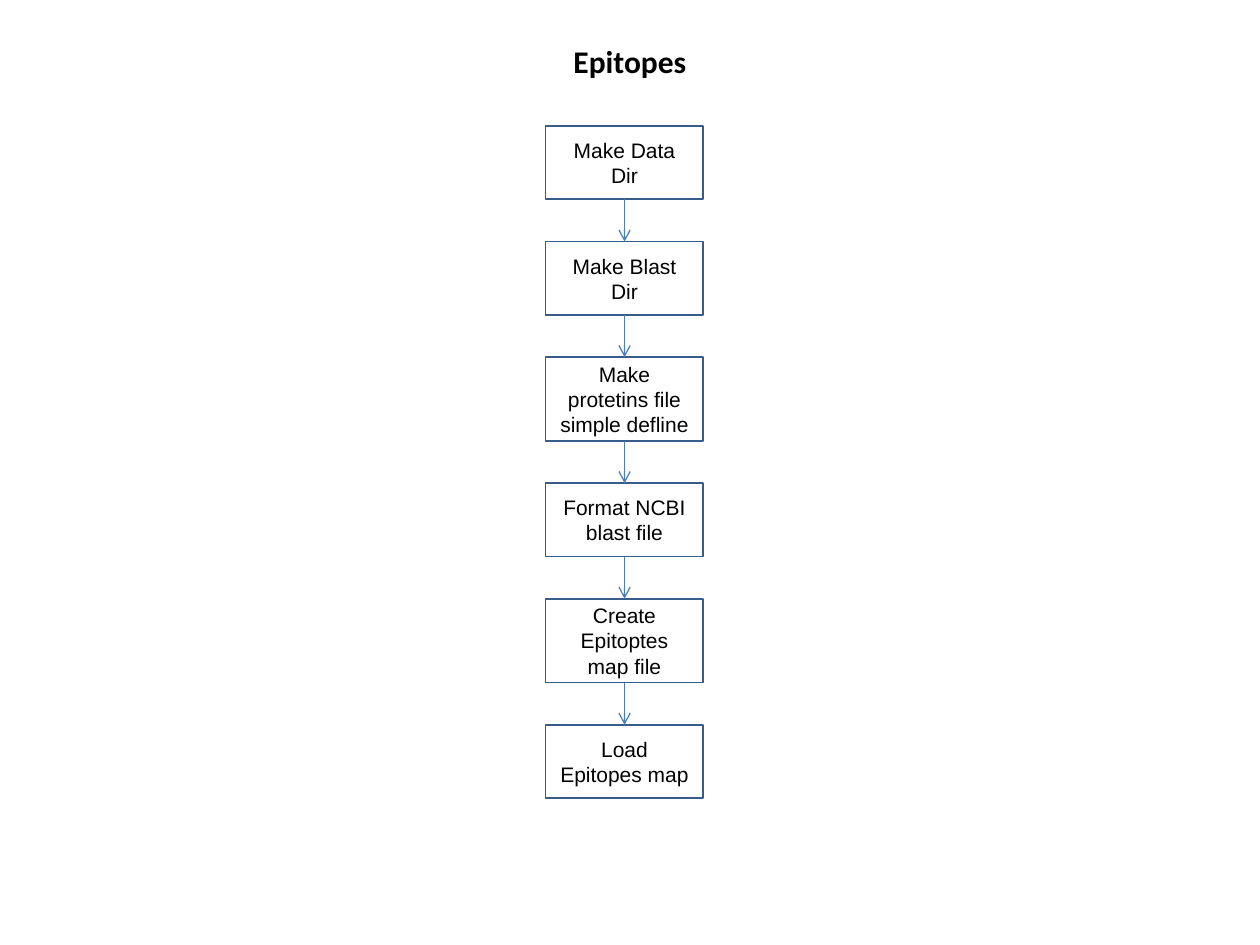
import dataclasses

import pptx
import pptx.dml.color
import pptx.enum.shapes
import pptx.enum.text
import pptx.oxml.ns
import pptx.util
from lxml import etree

Cm = pptx.util.Cm
Pt = pptx.util.Pt
RGB = pptx.dml.color.RGBColor
qn = pptx.oxml.ns.qn


@dataclasses.dataclass(frozen=True)
class Theme:
    text: RGB = RGB(0x00, 0x00, 0x00)
    box_line: RGB = RGB(0x38, 0x5D, 0x8A)
    arrow_line: RGB = RGB(0x4A, 0x7E, 0xBB)
    title_font: str = "Calibri"
    step_font: str = "Arial"
    title_size: int = 18
    step_size: int = 12
    box_weight: float = 1
    arrow_weight: float = 0.75


THEME = Theme()

# Step wording and box height in cm; three-line steps are taller
SHORT, TALL = 1.48, 1.69
STEPS = [
    ("Make Data Dir", SHORT),
    ("Make Blast Dir", SHORT),
    ("Make protetins file simple defline", TALL),
    ("Format NCBI blast file", SHORT),
    ("Create Epitoptes map file", TALL),
    ("Load Epitopes map", SHORT),
]
STEP_LEFT, STEP_TOP, STEP_WIDTH, STEP_GAP = 11, 2.54, 3.18, 0.85


def write_text(frame, wording, font, size, bold=False):
    frame.word_wrap = True
    frame.vertical_anchor = pptx.enum.text.MSO_ANCHOR.MIDDLE
    line = frame.paragraphs[0]
    line.text = wording
    line.alignment = pptx.enum.text.PP_ALIGN.CENTER
    line.font.name = font
    line.font.size = Pt(size)
    line.font.bold = bold
    line.font.color.rgb = THEME.text


def add_title(slide, wording):
    title = slide.shapes.add_textbox(Cm(1.27), Cm(0.76), Cm(22.86), Cm(0.94))
    frame = title.text_frame
    frame.margin_left = frame.margin_right = 0
    frame.margin_top = frame.margin_bottom = 0
    write_text(frame, wording, THEME.title_font, THEME.title_size, bold=True)


def add_step(slide, wording, top, height):
    step = slide.shapes.add_shape(
        pptx.enum.shapes.MSO_SHAPE.RECTANGLE,
        Cm(STEP_LEFT), Cm(top), Cm(STEP_WIDTH), Cm(height))
    step.shadow.inherit = False
    step.fill.background()
    step.line.color.rgb = THEME.box_line
    step.line.width = Pt(THEME.box_weight)
    write_text(step.text_frame, wording, THEME.step_font, THEME.step_size)
    return step


def add_arrow(slide, upper, lower):
    arrow = slide.shapes.add_connector(
        pptx.enum.shapes.MSO_CONNECTOR.STRAIGHT, 0, 0, 0, 0)
    arrow.begin_connect(upper, 2)
    arrow.end_connect(lower, 0)
    arrow.line.color.rgb = THEME.arrow_line
    arrow.line.width = Pt(THEME.arrow_weight)
    # Open arrowhead, no shadow
    properties = arrow.line._get_or_add_ln()
    etree.SubElement(properties, qn("a:tailEnd"), type="arrow")
    etree.SubElement(arrow._element.spPr, qn("a:effectLst"))


def main():
    deck = pptx.Presentation()
    deck.slide_width, deck.slide_height = Cm(25.4), Cm(19.05)
    slide = deck.slides.add_slide(deck.slide_layouts[6])

    add_title(slide, "Epitopes")

    # Column of steps, evenly spaced
    steps = []
    top = STEP_TOP
    for wording, height in STEPS:
        steps.append(add_step(slide, wording, top, height))
        top += height + STEP_GAP

    # Arrows from each step to the next
    for upper, lower in zip(steps, steps[1:]):
        add_arrow(slide, upper, lower)

    deck.save("out.pptx")


if __name__ == "__main__":
    main()
